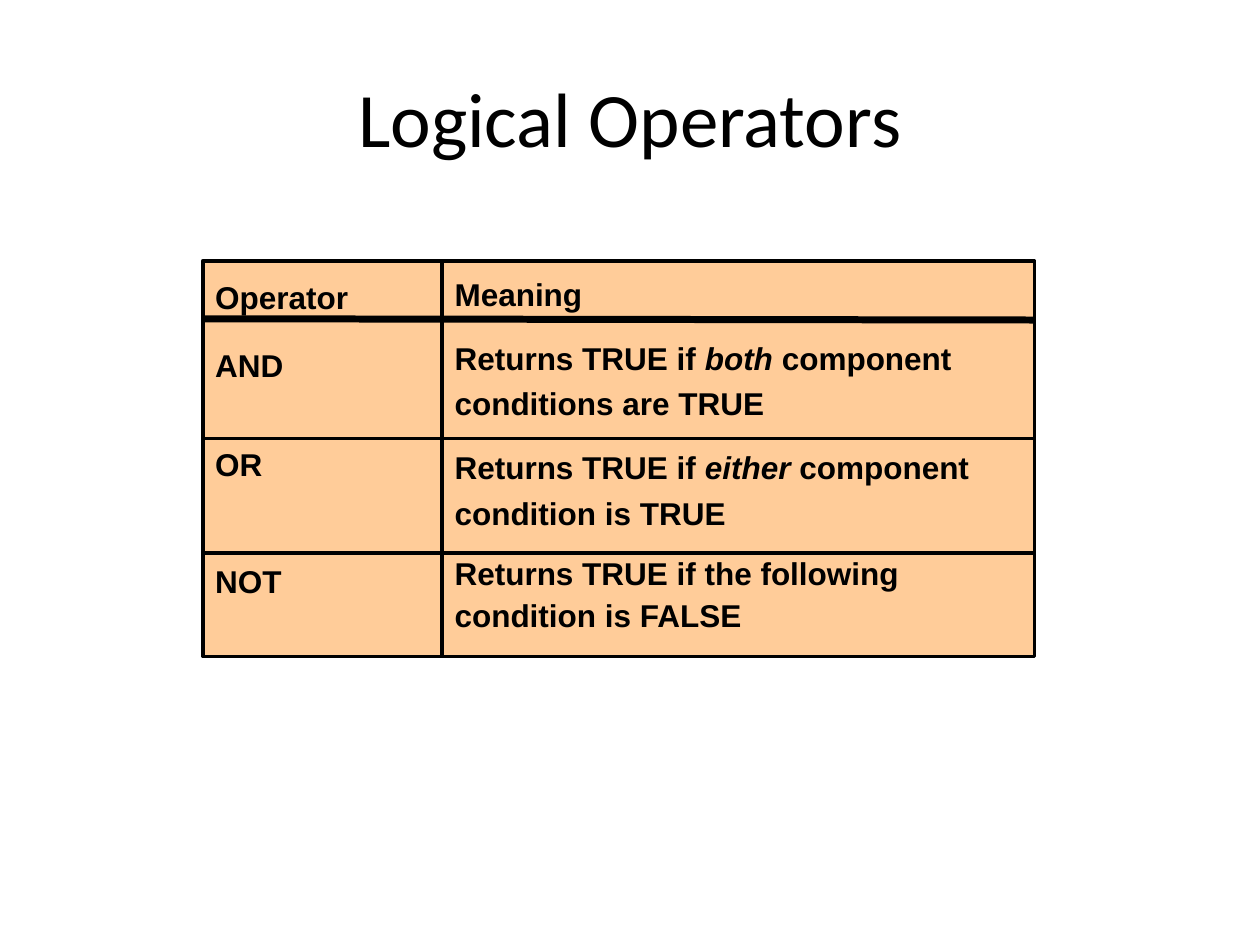
import pptx
import pptx.dml.color
import pptx.enum.shapes
import pptx.enum.text
import pptx.oxml
import pptx.util
from lxml import etree

COLORS = {"ink": "000000", "panel": "FFCC99"}
DRAWING = "http://schemas.openxmlformats.org/drawingml/2006/main"
WIDTH, HEIGHT = 10, 7.5

# Grid of the operator table, in inches
LEFT, DIVIDER, RIGHT = 1.61, 3.51, 8.21
TOP, BOTTOM = 2.07, 5.21
RULES = [(2.53, 2.54, 4), (3.48, 3.48, 2), (4.39, 4.39, 2)]

BODY = {"name": "Arial", "size": pptx.util.Pt(18), "bold": True}
TITLE = {"name": "Calibri", "size": pptx.util.Pt(44)}

# Each paragraph is a line spacing and its (text, italic) runs
OPERATORS = [
    (1.3, [("Operator", False)]),
    (1.3, [("AND\n\nOR", False)]),
    (1.3, [("\nNOT", False)]),
]
MEANINGS = [
    (1.2, [("Meaning", False)]),
    (1.2, [("Returns TRUE if ", False), ("both ", True),
           ("component conditions are TRUE", False)]),
    (1.2, [("Returns TRUE if ", False), ("either ", True),
           ("component condition is TRUE", False)]),
    (1.1, [("Returns TRUE if the following condition is FALSE", False)]),
]


def color(name):
    return pptx.dml.color.RGBColor.from_string(COLORS[name])


def set_attributes(target, values):
    for name, value in values.items():
        setattr(target, name, value)


def add_run(paragraph, text, font_format, italic=False):
    """Add text to a paragraph, turning newlines into line breaks."""
    for index, part in enumerate(text.split("\n")):
        if index:
            paragraph.add_line_break()
        if part:
            run = paragraph.add_run()
            run.text = part
            set_attributes(run.font, {**font_format, "italic": italic})
            run.font.color.rgb = color("ink")


def add_title(slide, text):
    inches = pptx.util.Inches
    box = slide.shapes.add_textbox(
        inches(WIDTH * 0.05), inches(HEIGHT * 0.04),
        inches(WIDTH * 0.9), inches(1.25))
    set_attributes(box.text_frame, {
        "word_wrap": True,
        "vertical_anchor": pptx.enum.text.MSO_ANCHOR.MIDDLE})
    paragraph = box.text_frame.paragraphs[0]
    paragraph.alignment = pptx.enum.text.PP_ALIGN.CENTER
    add_run(paragraph, text, TITLE)
    # Text shadow, placed after the fill and before the typeface
    effects = pptx.oxml.parse_xml(
        f'<a:effectLst xmlns:a="{DRAWING}">'
        '<a:outerShdw blurRad="38100" dist="38100" dir="2700000" algn="tl">'
        f'<a:srgbClr val="{COLORS["ink"]}"/></a:outerShdw></a:effectLst>')
    properties = paragraph.runs[0].font._element
    properties.find(f"{{{DRAWING}}}solidFill").addnext(effects)


def add_column(slide, left, right, paragraphs):
    bounds = (left, TOP, right - left, BOTTOM - TOP)
    shape = slide.shapes.add_shape(
        pptx.enum.shapes.MSO_SHAPE.RECTANGLE, *map(pptx.util.Inches, bounds))
    shape.shadow.inherit = False
    shape.fill.solid()
    shape.fill.fore_color.rgb = color("panel")
    shape.line.color.rgb = color("ink")
    shape.line.width = pptx.util.Pt(2)
    frame = shape.text_frame
    set_attributes(frame, {
        "word_wrap": True,
        "vertical_anchor": pptx.enum.text.MSO_ANCHOR.TOP})
    for index, (spacing, runs) in enumerate(paragraphs):
        paragraph = frame.add_paragraph() if index else frame.paragraphs[0]
        set_attributes(paragraph, {
            "alignment": pptx.enum.text.PP_ALIGN.LEFT,
            "line_spacing": spacing,
            "space_before": pptx.util.Pt(10.8)})
        for text, italic in runs:
            add_run(paragraph, text, BODY, italic)


def add_rule(slide, start, end, weight):
    line = slide.shapes.add_connector(
        pptx.enum.shapes.MSO_CONNECTOR.STRAIGHT,
        *map(pptx.util.Inches, (LEFT, start, RIGHT, end)))
    line.line.color.rgb = color("ink")
    line.line.width = pptx.util.Pt(weight)
    etree.SubElement(line._element.spPr, f"{{{DRAWING}}}effectLst")


def main():
    presentation = pptx.Presentation()
    presentation.slide_width = pptx.util.Inches(WIDTH)
    presentation.slide_height = pptx.util.Inches(HEIGHT)
    slide = presentation.slides.add_slide(presentation.slide_layouts[6])

    add_title(slide, "Logical Operators")

    # Columns overlap slightly so that their borders meet
    add_column(slide, LEFT, DIVIDER + 0.02, OPERATORS)
    add_column(slide, DIVIDER, RIGHT, MEANINGS)

    # Row rules, the heavier one under the headings
    for start, end, weight in RULES:
        add_rule(slide, start, end, weight)

    presentation.save("out.pptx")


if __name__ == "__main__":
    main()
